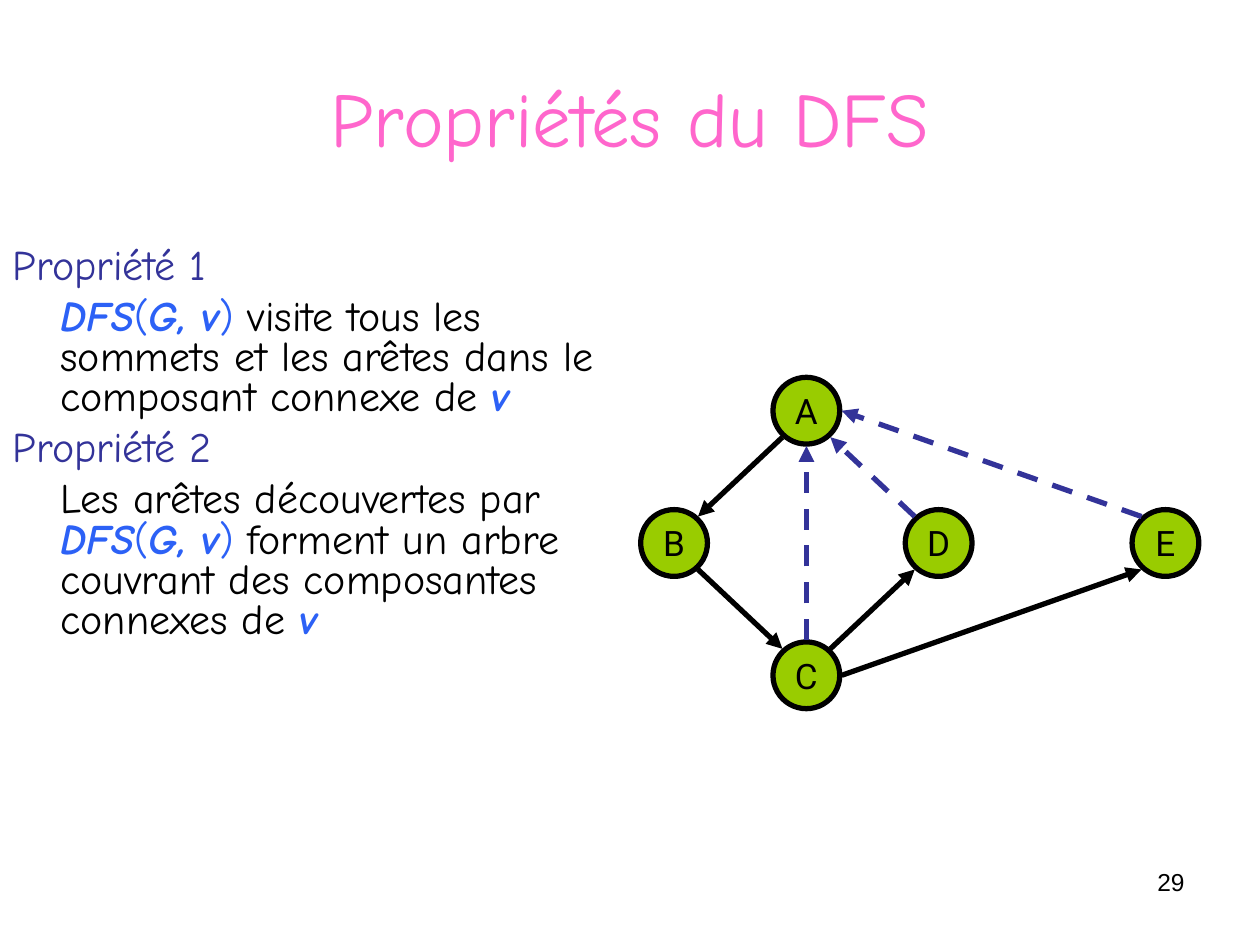
import pptx
import pptx.dml.color
import pptx.enum.dml
import pptx.enum.shapes
import pptx.enum.text
import pptx.oxml
import pptx.util
from pptx.util import Inches

ALIGN = pptx.enum.text.PP_ALIGN
ANCHOR = pptx.enum.text.MSO_ANCHOR
BLACK, INDIGO, BLUE, PINK, GREEN = "000000", "333399", "2C61F6", "FF66CC", "99CC00"
HAND = "Comic Neue"


def rgb(value):
    return pptx.dml.color.RGBColor.from_string(value)


def apply(target, values):
    for name, value in values.items():
        setattr(target, name, value)


def add_element(parent, tag, **attributes):
    element = pptx.oxml.parse_xml(
        f'<a:{tag} xmlns:a="http://schemas.openxmlformats.org/drawingml/2006/main"/>'
    )
    for name, value in attributes.items():
        element.set(name, value)
    parent.append(element)


class SlideBuilder:
    line_width = pptx.util.Pt(3)
    node_size = 0.53
    node_font = {"name": "Roboto", "size": pptx.util.Pt(20)}

    def __init__(self, page):
        self.page = page

    def place(self, box, left, top, width, height):
        apply(box, {"left": Inches(left), "top": Inches(top),
                    "width": Inches(width), "height": Inches(height)})

    def add_span(self, para, text, color, font):
        span = para.add_run()
        span.text = text
        apply(span.font, font)
        span.font.color.rgb = rgb(color)

    def title(self, text, *bounds):
        box = self.page.shapes.title
        self.place(box, *bounds)
        apply(box.text_frame, {"vertical_anchor": ANCHOR.MIDDLE, "word_wrap": True})
        para = box.text_frame.paragraphs[0]
        para.alignment = ALIGN.CENTER
        self.add_span(para, text, PINK, {"name": HAND, "size": pptx.util.Pt(44)})

    def body(self, paragraphs, *bounds):
        box = self.page.placeholders[1]
        self.place(box, *bounds)
        frame = box.text_frame
        apply(frame, {"auto_size": pptx.enum.text.MSO_AUTO_SIZE.NONE,
                      "vertical_anchor": ANCHOR.TOP, "word_wrap": True})
        for index, (indent, spans) in enumerate(paragraphs):
            para = frame.add_paragraph() if index else frame.paragraphs[0]
            properties = para._p.get_or_add_pPr()
            properties.set("marL", str(Inches(indent)))
            properties.set("indent", "0")
            add_element(properties, "buNone")
            apply(para, {"alignment": ALIGN.LEFT, "line_spacing": 0.8,
                         "space_before": pptx.util.Pt(6 if index else 0)})
            for text, color, strong in spans:
                self.add_span(para, text, color,
                              {"name": HAND, "size": pptx.util.Pt(24),
                               "bold": strong, "italic": strong})

    def page_number(self, text, *bounds):
        box = self.page.shapes.add_textbox(*map(Inches, bounds))
        box.text_frame.word_wrap = True
        para = box.text_frame.paragraphs[0]
        para.alignment = ALIGN.RIGHT
        self.add_span(para, text, BLACK, {"name": "Arial", "size": pptx.util.Pt(14)})

    def node(self, label, x, y):
        size = self.node_size
        circle = self.page.shapes.add_shape(
            pptx.enum.shapes.MSO_SHAPE.OVAL,
            Inches(x - size / 2), Inches(y - size / 2), Inches(size), Inches(size))
        circle.shadow.inherit = False
        circle.fill.solid()
        circle.fill.fore_color.rgb = rgb(GREEN)
        circle.line.color.rgb = rgb(BLACK)
        circle.line.width = self.line_width
        apply(circle.text_frame, {"vertical_anchor": ANCHOR.MIDDLE, "word_wrap": False})
        para = circle.text_frame.paragraphs[0]
        para.alignment = ALIGN.CENTER
        self.add_span(para, label, BLACK, self.node_font)

    def arrow(self, start, end, color, dashed):
        line = self.page.shapes.add_connector(
            pptx.enum.shapes.MSO_CONNECTOR.STRAIGHT, *map(Inches, (*start, *end)))
        line.line.color.rgb = rgb(color)
        line.line.width = self.line_width
        if dashed:
            line.line.dash_style = pptx.enum.dml.MSO_LINE.DASH
        add_element(line.line._get_or_add_ln(), "tailEnd", type="triangle")
        add_element(line._element.spPr, "effectLst")


def main():
    deck = pptx.Presentation()
    deck.slide_width, deck.slide_height = Inches(10), Inches(7.5)
    builder = SlideBuilder(deck.slides.add_slide(deck.slide_layouts[1]))

    call = [("DFS", BLUE, True), ("(", BLUE, False),
            ("G, v", BLUE, True), (")", BLUE, False)]
    vertex = ("v", BLUE, True)
    builder.page_number("29", 7.17, 6.83, 2.33, 0.52)
    builder.title("Propriétés du DFS", 0.5, 0.3, 9, 1.25)
    builder.body([
        (0, [("Propriété 1", INDIGO, False)]),
        (0.38, [*call, (" visite tous les sommets et les arêtes dans le "
                        "composant connexe de ", BLACK, False), vertex]),
        (0, [("Propriété 2", INDIGO, False)]),
        (0.38, [("Les arêtes découvertes par ", BLACK, False), *call,
                (" forment un arbre couvrant des composantes connexes de ",
                 BLACK, False), vertex]),
    ], 0, 1.92, 5.08, 4.5)

    center_x, center_y, step = 6.4, 4.31, 1.05
    nodes = {
        "A": (center_x, center_y - step),
        "B": (center_x - step, center_y),
        "C": (center_x, center_y + step),
        "D": (center_x + step, center_y),
        "E": (9.25, center_y),
    }
    ports = {
        "top": (0, -0.28), "bottom": (0, 0.28), "right": (0.28, 0),
        "top left": (-0.19, -0.21), "top right": (0.19, -0.21),
        "bottom left": (-0.19, 0.21), "bottom right": (0.19, 0.21),
    }
    tree_edges = [
        ("A", "bottom left", "B", "top right"),
        ("B", "bottom right", "C", "top left"),
        ("C", "top right", "D", "bottom left"),
        ("C", "right", "E", "bottom left"),
    ]
    back_edges = [
        ("D", "top left", "A", "bottom right"),
        ("C", "top", "A", "bottom"),
        ("E", "top left", "A", "right"),
    ]

    def port(name, side):
        return [a + b for a, b in zip(nodes[name], ports[side])]

    for label, center in nodes.items():
        builder.node(label, *center)
    for edges, color, dashed in ((tree_edges, BLACK, False), (back_edges, INDIGO, True)):
        for source, source_side, target, target_side in edges:
            builder.arrow(port(source, source_side), port(target, target_side),
                          color, dashed)

    deck.save("out.pptx")


if __name__ == "__main__":
    main()
